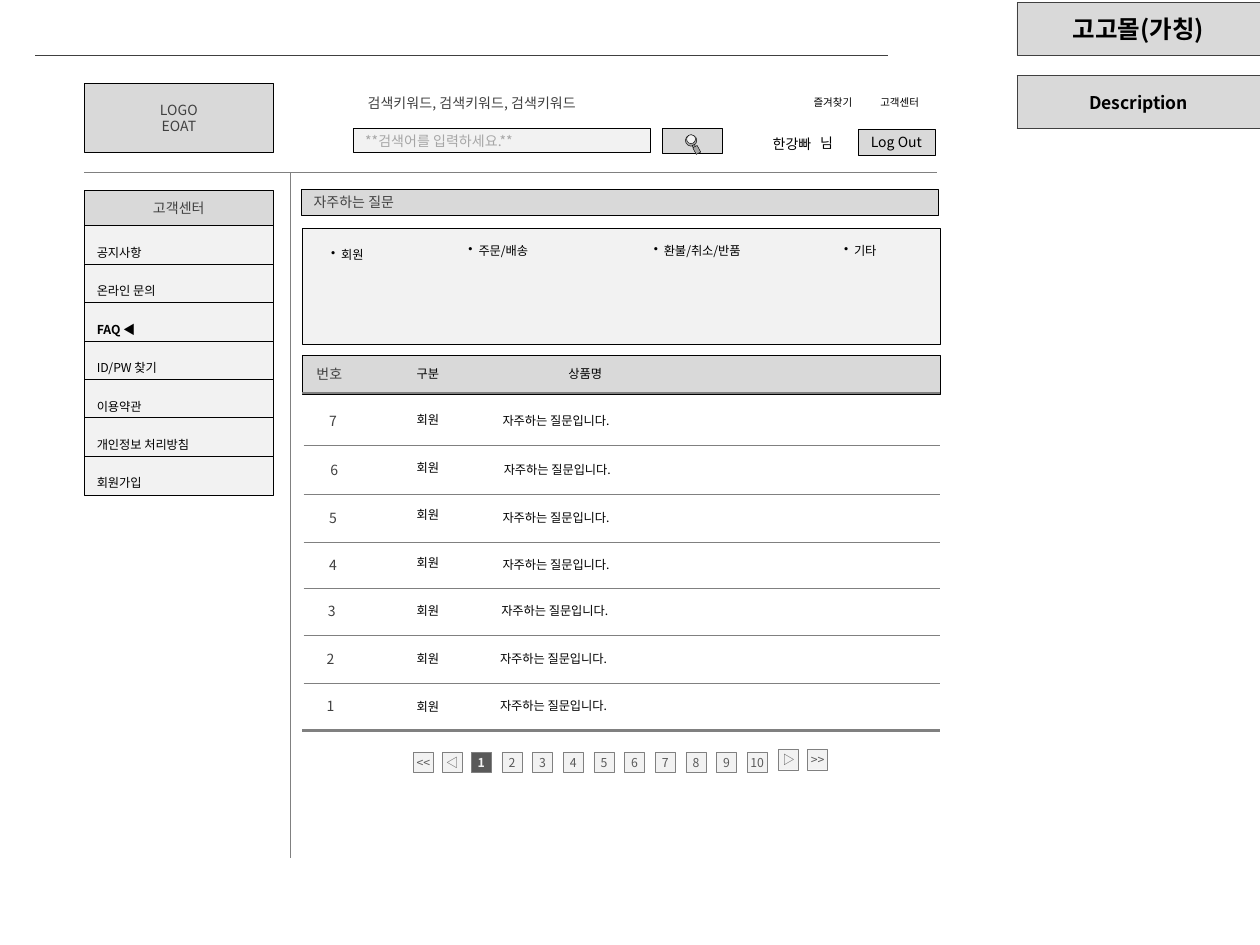
from lxml import etree
from pptx import Presentation
from pptx.dml.color import RGBColor
from pptx.enum import shapes, text
from pptx.oxml import ns
from pptx.util import Inches, Pt

FONT = "Noto Sans CJK KR"
BLACK = RGBColor(0, 0, 0)
DARK = RGBColor(0x40, 0x40, 0x40)
SLATE = RGBColor(0x59, 0x59, 0x59)
GRAY = RGBColor(0x80, 0x80, 0x80)
MID = RGBColor(0xA6, 0xA6, 0xA6)
LIGHT = RGBColor(0xD9, 0xD9, 0xD9)
PALE = RGBColor(0xF2, 0xF2, 0xF2)
LEFT, CENTER, RIGHT = text.PP_ALIGN.LEFT, text.PP_ALIGN.CENTER, text.PP_ALIGN.RIGHT
TOP, MIDDLE = text.MSO_ANCHOR.TOP, text.MSO_ANCHOR.MIDDLE


def write(frame, words, size=7, color=BLACK, bold=False, align=LEFT,
          anchor=MIDDLE, space=None, bullet=False, flush=False, wrap=True):
    frame.word_wrap = wrap
    frame.vertical_anchor = anchor
    if flush:
        frame.margin_left = frame.margin_right = 0
        frame.margin_top = frame.margin_bottom = 0
    for i, line in enumerate(words.split("\n")):
        para = frame.add_paragraph() if i else frame.paragraphs[0]
        para.alignment = align
        if space:
            para.line_spacing = space
        if bullet:
            props = para._p.get_or_add_pPr()
            props.set("marL", str(Inches(0.08)))
            props.set("indent", str(-Inches(0.08)))
            etree.SubElement(props, ns.qn("a:buChar"), char="•")
        run = para.add_run()
        run.text = line
        font = run.font
        font.size, font.bold = Pt(size), bold
        font.color.rgb = color
        font.name = FONT
        etree.SubElement(run._r.get_or_add_rPr(), ns.qn("a:ea"), typeface=FONT)


def paint(shape, fill, edge):
    shape.fill.solid()
    shape.fill.fore_color.rgb = fill
    shape.line.color.rgb = edge
    shape.line.width = Pt(0.25)


def box(parent, x, y, w, h, words="", fill=PALE, edge=BLACK,
        kind=shapes.MSO_SHAPE.RECTANGLE, turn=0, **style):
    shape = parent.add_shape(kind, Inches(x), Inches(y), Inches(w), Inches(h))
    shape.shadow.inherit = False
    shape.rotation = turn
    paint(shape, fill, edge)
    if words:
        write(shape.text_frame, words, **style)


def label(slide, x, y, w, h, words, anchor=TOP, **style):
    area = slide.shapes.add_textbox(Inches(x), Inches(y), Inches(w), Inches(h))
    write(area.text_frame, words, anchor=anchor, **style)


def rule(slide, x, y, x2, y2, color=GRAY, width=0.25):
    line = slide.shapes.add_connector(
        shapes.MSO_CONNECTOR.STRAIGHT, Inches(x), Inches(y), Inches(x2), Inches(y2))
    line.line.color.rgb = color
    line.line.width = Pt(width)
    etree.SubElement(line._element.spPr, ns.qn("a:effectLst"))


def title(slide):
    head = slide.shapes.title
    head.left, head.top = Inches(8.07), Inches(0.02)
    head.width, head.height = Inches(1.93), Inches(0.42)
    paint(head, LIGHT, DARK)
    head.text_frame.auto_size = text.MSO_AUTO_SIZE.NONE
    write(head.text_frame, "고고몰(가칭)", size=14, bold=True, align=CENTER)


def notes(slide):
    frame = slide.shapes.add_table(
        1, 1, Inches(8.07), Inches(0.6), Inches(1.93), Inches(0.42))
    cell = frame.table.cell(0, 0)
    cell.fill.solid()
    cell.fill.fore_color.rgb = LIGHT
    write(cell.text_frame, "Description", size=10, bold=True, align=CENTER)
    cell.vertical_anchor = MIDDLE
    props = cell._tc.get_or_add_tcPr()
    for i, side in enumerate(("lnL", "lnR", "lnT", "lnB")):
        edge = etree.Element(ns.qn("a:" + side), w=str(Pt(0.25)))
        fill = etree.SubElement(edge, ns.qn("a:solidFill"))
        etree.SubElement(fill, ns.qn("a:srgbClr"), val=str(DARK))
        props.insert(i, edge)


def search(slide):
    group = slide.shapes.add_group_shape().shapes
    box(group, 5.26, 1.02, 0.47, 0.2, fill=LIGHT)
    oval = shapes.MSO_SHAPE.OVAL
    rect = shapes.MSO_SHAPE.RECTANGLE
    for x, y, w, h, fill, kind in (
            (5.44, 1.07, 0.09, 0.09, MID, oval), (5.45, 1.07, 0.07, 0.07, PALE, oval),
            (5.5, 1.15, 0.02, 0.03, MID, rect), (5.51, 1.16, 0.04, 0.06, MID, rect)):
        box(group, x, y, w, h, fill=fill, kind=kind, turn=332.1)


def header(slide):
    rule(slide, 0.28, 0.44, 7.05, 0.44, color=DARK, width=0.75)
    box(slide.shapes, 0.67, 0.66, 1.5, 0.55, "LOGO\nEOAT", fill=LIGHT,
        size=8, color=DARK, align=CENTER)
    box(slide.shapes, 2.8, 1.02, 2.36, 0.19, "**검색어를 입력하세요.**",
        size=8, color=MID)
    search(slide)
    label(slide, 2.82, 0.7, 2.36, 0.24, "검색키워드, 검색키워드, 검색키워드",
          size=8, color=DARK)
    label(slide, 5.89, 1.04, 0.55, 0.2, "한강빠", size=8, align=RIGHT,
          anchor=MIDDLE, flush=True)
    label(slide, 6.41, 1.02, 0.32, 0.24, "님", size=8)
    box(slide.shapes, 6.81, 1.03, 0.61, 0.2, "Log Out", fill=LIGHT,
        size=8, align=CENTER, flush=True)
    for x, words in ((6.34, "즐겨찾기"), (6.87, "고객센터")):
        label(slide, x, 0.71, 0.54, 0.2, words, size=6, align=CENTER, wrap=False)
    rule(slide, 0.67, 1.37, 7.44, 1.37)
    rule(slide, 2.3, 1.37, 2.3, 6.81)


def menu(slide):
    box(slide.shapes, 0.67, 1.51, 1.5, 0.28, "고객센터", fill=LIGHT,
        size=8, color=DARK, align=CENTER)
    items = ("공지사항", "온라인 문의", "FAQ ◀", "ID/PW 찾기", "이용약관",
             "개인정보 처리방침", "회원가입")
    step = (3.62 - 1.79) / 6
    for i, item in enumerate(items):
        box(slide.shapes, 0.67, 1.79 + i * step, 1.5, 0.31, item,
            bold=item.startswith("FAQ"), space=2.0)


def topics(slide):
    box(slide.shapes, 2.39, 1.5, 5.06, 0.21, "자주하는 질문", fill=LIGHT,
        size=8, color=DARK)
    box(slide.shapes, 2.4, 1.81, 5.06, 0.92)
    for x, y, w, words in ((2.53, 1.91, 0.76, "회원"), (3.62, 1.88, 0.76, "주문/배송"),
                           (5.09, 1.88, 0.98, "환불/취소/반품"), (6.6, 1.88, 0.65, "기타")):
        label(slide, x, y, w, 0.22, words, bullet=True)


def board(slide):
    box(slide.shapes, 2.4, 2.82, 5.06, 0.31, fill=LIGHT)
    label(slide, 2.4, 2.87, 0.43, 0.2, "번호", size=8, color=DARK,
          align=CENTER, anchor=MIDDLE)
    for x, words in ((3.12, "구분"), (4.37, "상품명")):
        label(slide, x, 2.86, 0.55, 0.22, words, align=CENTER)
    rows = ((3.89, 3.23), (3.9, 3.62), (3.89, 4), (3.89, 4.37),
            (3.88, 4.74), (3.87, 5.12), (3.87, 5.49))
    for i, (x, y) in enumerate(rows):
        label(slide, x, y, 2.59, 0.22, "자주하는 질문입니다.")
        label(slide, x - 1.36, y + 0.01, 0.18, 0.2, str(len(rows) - i),
              size=8, color=DARK, align=CENTER, anchor=MIDDLE)
        label(slide, 3.12, 3.22 + i * 0.38, 0.55, 0.22, "회원", align=CENTER)
        rule(slide, 2.41, y + 0.3, 7.46, y + 0.3)
    for y in (3.12, 5.8):
        rule(slide, 2.4, y, 7.46, y, width=1.5)


def pager(slide):
    keys = [(3.28, 5.97, "<<"), (3.51, 5.97, "◁")]
    keys += [(3.74 + i * 2.19 / 9, 5.97, str(i + 1)) for i in range(10)]
    keys += [(6.18, 5.95, "▷"), (6.41, 5.95, ">>")]
    for x, y, words in keys:
        on = words == "1"
        box(slide.shapes, x, y, 0.16, 0.16, words, fill=SLATE if on else PALE,
            edge=GRAY, color=PALE if on else SLATE, bold=on, align=CENTER, flush=True)


def main():
    deck = Presentation()
    deck.slide_width, deck.slide_height = Inches(10), Inches(7.5)
    slide = deck.slides.add_slide(deck.slide_layouts[5])
    for part in (title, notes, header, menu, topics, board, pager):
        part(slide)
    deck.save("out.pptx")


if __name__ == "__main__":
    main()
